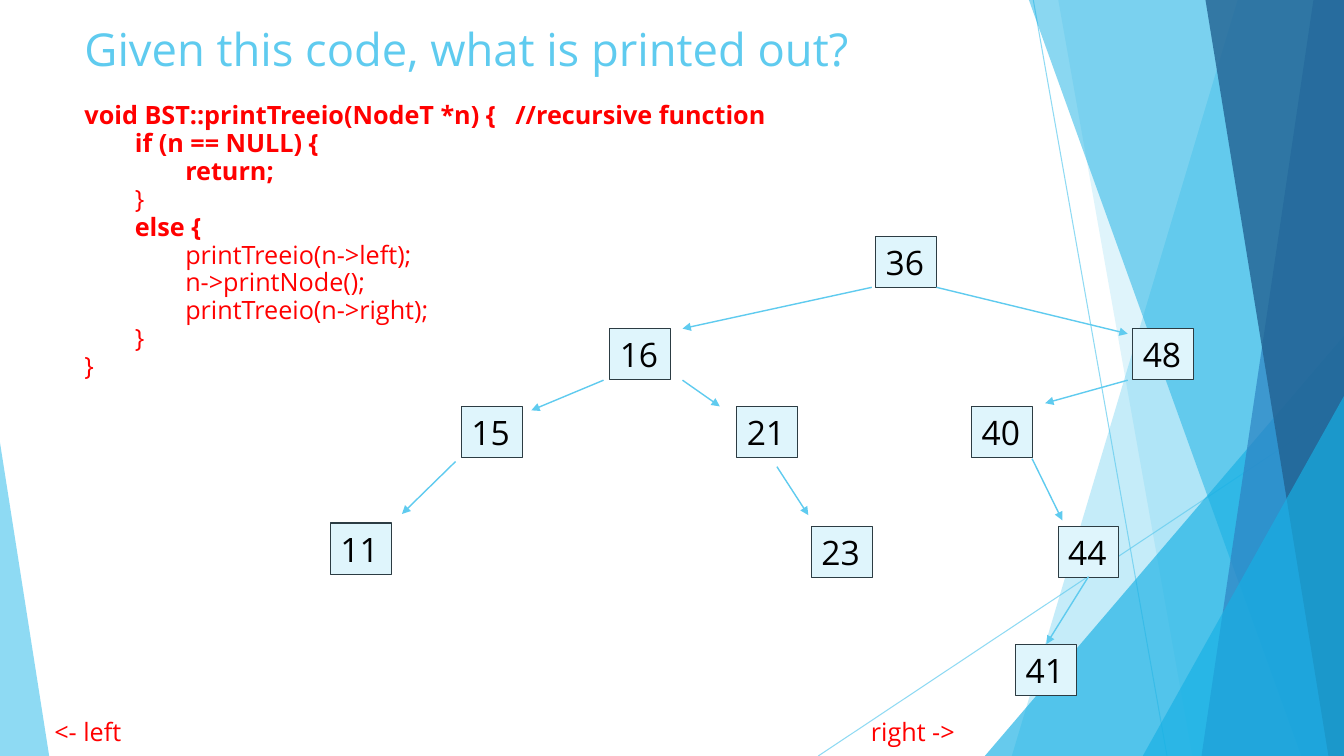
from dataclasses import dataclass
from typing import NamedTuple

import pptx
import pptx.util
import pptx.dml.color
import pptx.enum.shapes
import pptx.enum.text
import pptx.oxml.ns
from lxml import etree

Cm = pptx.util.Cm
Pt = pptx.util.Pt
SHAPE = pptx.enum.shapes.MSO_SHAPE
ANCHOR = pptx.enum.text.MSO_ANCHOR
WIDE, HIGH = 33.87, 19.05


@dataclass(frozen=True)
class Theme:
    font: str = "Open Sans"
    sky: str = "5FCBEF"
    cyan: str = "17B0E4"
    blue: str = "2E83C3"
    navy: str = "226292"
    pale: str = "DFF5FC"
    edge: str = "2C3C43"
    red: str = "FF0000"
    black: str = "000000"
    title: float = 32.4
    node: float = 24
    code: float = 18


THEME = Theme()


class Band(NamedTuple):
    """Panel from a slanted left edge to the right side of the slide."""
    top: float
    foot: float
    color: str
    alpha: int


class Wedge(NamedTuple):
    """Triangle standing on the bottom of the slide."""
    left: float
    top: float
    width: float
    peak: float
    color: str
    alpha: int


class Node(NamedTuple):
    key: int
    left: float
    top: float


class Link(NamedTuple):
    x1: float
    y1: float
    x2: float
    y2: float


class Line(NamedTuple):
    level: int
    text: str
    bold: bool = False


RAYS = [Link(26.04, 0, 29.41, HIGH), Link(WIDE, 10.24, 20.62, HIGH)]
DECOR = [
    Band(31.19, 25.5, THEME.sky, 36),
    Band(26.67, 30.05, THEME.sky, 20),
    Wedge(24.82, 8.46, 9.05, 1, THEME.cyan, 66),
    Band(25.93, 32.79, THEME.cyan, 50),
    Band(33.1, 30.28, THEME.blue, 70),
    Band(30.38, 33.48, THEME.navy, 80),
    Wedge(28.8, 9.98, 5.07, 1, THEME.cyan, 66),
    Wedge(0, 11.15, 1.24, 0, THEME.sky, 70),
]
CODE = [
    Line(0, "void BST::printTreeio(NodeT *n) {   //recursive function", True),
    Line(1, "if (n == NULL) {", True),
    Line(2, "return;", True),
    Line(1, "}"),
    Line(1, "else {", True),
    Line(2, "printTreeio(n->left);"),
    Line(2, "n->printNode();"),
    Line(2, "printTreeio(n->right);"),
    Line(1, "}"),
    Line(0, "}"),
]
NODES = [
    Node(36, 22.07, 5.95),
    Node(16, 15.37, 8.28), Node(48, 28.55, 8.28),
    Node(15, 11.63, 10.24), Node(21, 18.57, 10.24), Node(40, 24.49, 10.24),
    Node(11, 8.33, 13.18), Node(23, 20.45, 13.26), Node(44, 26.67, 13.26),
    Node(41, 25.6, 16.23),
]
LINKS = [
    Link(21.97, 7.24, 17.2, 8.28), Link(23.6, 7.24, 28.42, 8.41),
    Link(15.21, 9.58, 13.39, 10.34), Link(17.2, 9.58, 18.14, 10.24),
    Link(11.48, 11.63, 10.13, 12.95), Link(19.58, 11.76, 20.37, 12.98),
    Link(28.42, 9.58, 26.34, 10.16), Link(26.01, 11.56, 26.77, 13.11),
    Link(27.43, 14.53, 26.37, 16.23),
]


def rgb(color: str) -> pptx.dml.color.RGBColor:
    return pptx.dml.color.RGBColor.from_string(color)


def child(parent, tag: str, **attrs: str):
    return etree.SubElement(parent, pptx.oxml.ns.qn(tag), attrs)


def fade(fill, alpha: int) -> None:
    """Make a solid fill partly clear; alpha is a percentage."""
    tint = fill._xPr.find(".//" + pptx.oxml.ns.qn("a:srgbClr"))
    child(tint, "a:alpha", val=str(alpha * 1000))


def paint(shape, color: str, alpha: int) -> None:
    shape.shadow.inherit = False
    shape.fill.solid()
    shape.fill.fore_color.rgb = rgb(color)
    fade(shape.fill, alpha)
    shape.line.fill.background()


def write(shape, lines: list[Line], *, size: float, color: str,
          anchor=ANCHOR.MIDDLE, pitch: float = 1, before: float = 0) -> None:
    frame = shape.text_frame
    frame.word_wrap = True
    frame.vertical_anchor = anchor
    for i, line in enumerate(lines):
        par = frame.add_paragraph() if i else frame.paragraphs[0]
        par.alignment = pptx.enum.text.PP_ALIGN.LEFT
        par.line_spacing = pitch
        par.space_before = Pt(before)
        par._p.get_or_add_pPr().set("marL", str(Cm(1.27 * line.level)))
        run = par.add_run()
        run.text = line.text
        run.font.name = THEME.font
        run.font.size = Pt(size)
        run.font.bold = line.bold
        run.font.color.rgb = rgb(color)


def label(slide, box: tuple, lines: list[Line], **style) -> None:
    write(slide.shapes.add_textbox(*map(Cm, box)), lines, **style)


def draw_band(slide, band: Band) -> None:
    pen = slide.shapes.build_freeform(Cm(band.top), 0)
    ends = [(WIDE, 0), (WIDE, HIGH), (band.foot, HIGH)]
    pen.add_line_segments([(Cm(x), Cm(y)) for x, y in ends], close=True)
    paint(pen.convert_to_shape(), band.color, band.alpha)


def draw_wedge(slide, wedge: Wedge) -> None:
    box = (wedge.left, wedge.top, wedge.width, HIGH - wedge.top)
    shape = slide.shapes.add_shape(SHAPE.ISOSCELES_TRIANGLE, *map(Cm, box))
    shape.adjustments[0] = wedge.peak
    paint(shape, wedge.color, wedge.alpha)


def draw_link(slide, link: Link, width: float, alpha: int = 100,
              arrow: bool = False) -> None:
    kind = pptx.enum.shapes.MSO_CONNECTOR.STRAIGHT
    line = slide.shapes.add_connector(kind, *map(Cm, link))
    line.line.width = Pt(width)
    line.line.color.rgb = rgb(THEME.sky)
    if alpha < 100:
        fade(line.line.fill, alpha)
    if arrow:
        child(line.line._get_or_add_ln(), "a:tailEnd", type="triangle")
    child(line._element.spPr, "a:effectLst")


def draw_node(slide, node: Node) -> None:
    box = (node.left, node.top, 1.53, 1.29)
    shape = slide.shapes.add_shape(SHAPE.RECTANGLE, *map(Cm, box))
    paint(shape, THEME.pale, 100)
    shape.line.color.rgb = rgb(THEME.edge)
    shape.line.width = Pt(0.75)
    write(shape, [Line(0, str(node.key))], size=THEME.node, color=THEME.black)


deck = pptx.Presentation()
deck.slide_width, deck.slide_height = Cm(WIDE), Cm(HIGH)
slide = deck.slides.add_slide(deck.slide_layouts[6])

# Background facets
for ray in RAYS:
    draw_link(slide, ray, 0.75, alpha=70)
for part in DECOR:
    if isinstance(part, Band):
        draw_band(slide, part)
    else:
        draw_wedge(slide, part)

# Title and code
label(slide, (1.88, 0.43, 23.88, 1.75),
      [Line(0, "Given this code, what is printed out?")],
      size=THEME.title, color=THEME.sky, pitch=0.9)
label(slide, (1.88, 2.46, 23.88, 14.33), CODE, size=THEME.code,
      color=THEME.red, anchor=ANCHOR.TOP, pitch=0.9, before=0.5)

# Search tree
for node in NODES:
    draw_node(slide, node)
for link in LINKS:
    draw_link(slide, link, 1, arrow=True)

# Direction hints
for left, hint in [(1.12, "<- left"), (21.7, "right ->")]:
    label(slide, (left, 17.91, 4, 1.02), [Line(0, hint)],
          size=THEME.code, color=THEME.red)

deck.save("out.pptx")
